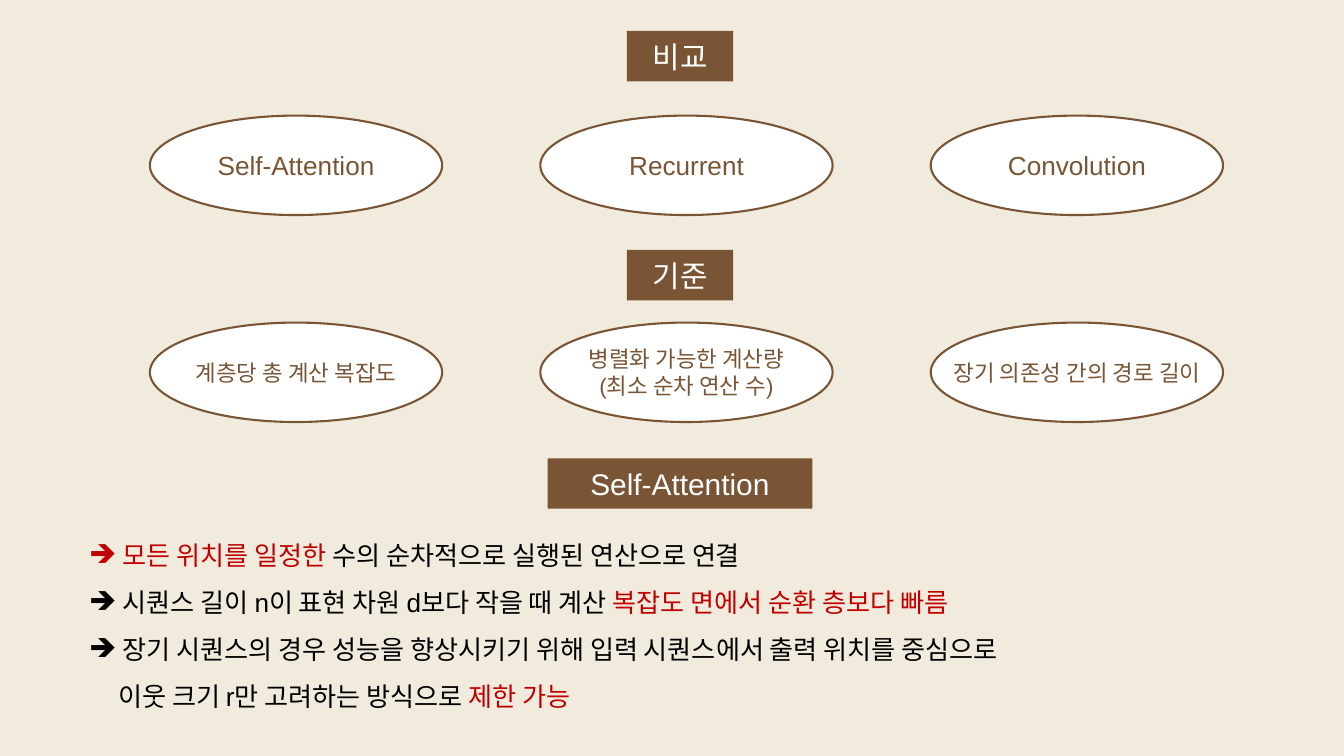
from lxml.etree import SubElement
from pptx import Presentation
from pptx.dml.color import RGBColor
from pptx.enum.shapes import MSO_SHAPE
from pptx.enum.text import MSO_ANCHOR, PP_ALIGN
from pptx.oxml.ns import qn
from pptx.util import Inches, Pt

CREAM = RGBColor(0xF1, 0xEB, 0xDE)
BROWN = RGBColor(0x79, 0x55, 0x35)
WHITE = RGBColor(0xFF, 0xFF, 0xFF)
BLACK = RGBColor(0, 0, 0)
RED = RGBColor(0xC0, 0, 0)

FONT = "Arial"
MID = 10.12  # centre line of the labels

# Label text, top, width
LABELS = [("비교", 0.46, 1.58), ("기준", 3.72, 1.58),
          ("Self-Attention", 6.82, 3.94)]

# Top, text size, one text per oval
ROWS = [
    (1.72, 28, ["Self-Attention", "Recurrent", "Convolution"]),
    (4.8, 24, ["계층당 총 계산 복잡도",
               "병렬화 가능한 계산량\n(최소 순차 연산 수)",
               "장기 의존성 간의 경로 길이"]),
]

# Bulleted or not, then runs of text and colour
NOTES = [
    (True, [("모든 위치를 일정한", RED),
            (" 수의 순차적으로 실행된 연산으로 연결", BLACK)]),
    (True, [("시퀀스 길이 n이 표현 차원 d보다 작을 때 계산 ", BLACK),
            ("복잡도 면에서 순환 층보다 빠름", RED)]),
    (True, [("장기 시퀀스의 경우 성능을 향상시키기 위해 입력 시퀀스에서 "
             "출력 위치를 중심으로", BLACK)]),
    (False, [("이웃 크기 r만 고려하는 방식으로 ", BLACK),
             ("제한 가능", RED)]),
]


def add_box(slide, kind, box, text, size, fill, color):
    shape = slide.shapes.add_shape(kind, *map(Inches, box))
    shape.shadow.inherit = False
    shape.fill.solid()
    shape.fill.fore_color.rgb = fill
    frame = shape.text_frame
    frame.text = text
    frame.word_wrap = False
    frame.vertical_anchor = MSO_ANCHOR.MIDDLE
    for para in frame.paragraphs:
        para.alignment = PP_ALIGN.CENTER
        para.font.name = FONT
        para.font.size = Pt(size)
        para.font.color.rgb = color
    return shape


def add_label(slide, text, top, width):
    box = (MID - width / 2, top, width, 0.75)
    shape = add_box(slide, MSO_SHAPE.RECTANGLE, box, text, 32, BROWN, WHITE)
    shape.line.fill.background()


def add_row(slide, top, size, texts):
    for col, text in enumerate(texts):
        box = (2.23 + 5.81 * col, top, 4.35, 1.48)
        oval = add_box(slide, MSO_SHAPE.OVAL, box, text, size, WHITE, BROWN)
        oval.line.color.rgb = BROWN
        oval.line.width = Pt(2.25)


def set_indent(para, left, first=0):
    props = para._p.get_or_add_pPr()
    props.set("marL", str(Inches(left)))
    props.set("indent", str(Inches(first)))
    return props


def add_bullet(para, color):
    props = set_indent(para, 0.5, -0.5)
    tint = SubElement(props, qn("a:buClr"))
    SubElement(tint, qn("a:srgbClr"), val=str(color))
    SubElement(props, qn("a:buFont"), typeface=FONT)
    SubElement(props, qn("a:buChar"), char="🡺")


def add_notes(slide, notes):
    box = slide.shapes.add_textbox(*map(Inches, (1.23, 7.74, 18.25, 2.85)))
    frame = box.text_frame
    frame.word_wrap = True
    for i, (marked, runs) in enumerate(notes):
        para = frame.add_paragraph() if i else frame.paragraphs[0]
        para.line_spacing = 1.5
        if marked:
            add_bullet(para, runs[0][1])
        else:
            set_indent(para, 0.43)
        para.font.name = FONT
        para.font.size = Pt(28)
        for text, color in runs:
            run = para.add_run()
            run.text = text
            run.font.color.rgb = color


def main():
    deck = Presentation()
    deck.slide_width = Inches(20)
    deck.slide_height = Inches(11.25)
    slide = deck.slides.add_slide(deck.slide_layouts[6])
    slide.background.fill.solid()
    slide.background.fill.fore_color.rgb = CREAM

    # Findings at the foot
    add_notes(slide, NOTES)
    # Compared models and criteria
    for row in ROWS:
        add_row(slide, *row)
    # Section labels
    for label in LABELS:
        add_label(slide, *label)

    deck.save("out.pptx")


if __name__ == "__main__":
    main()
